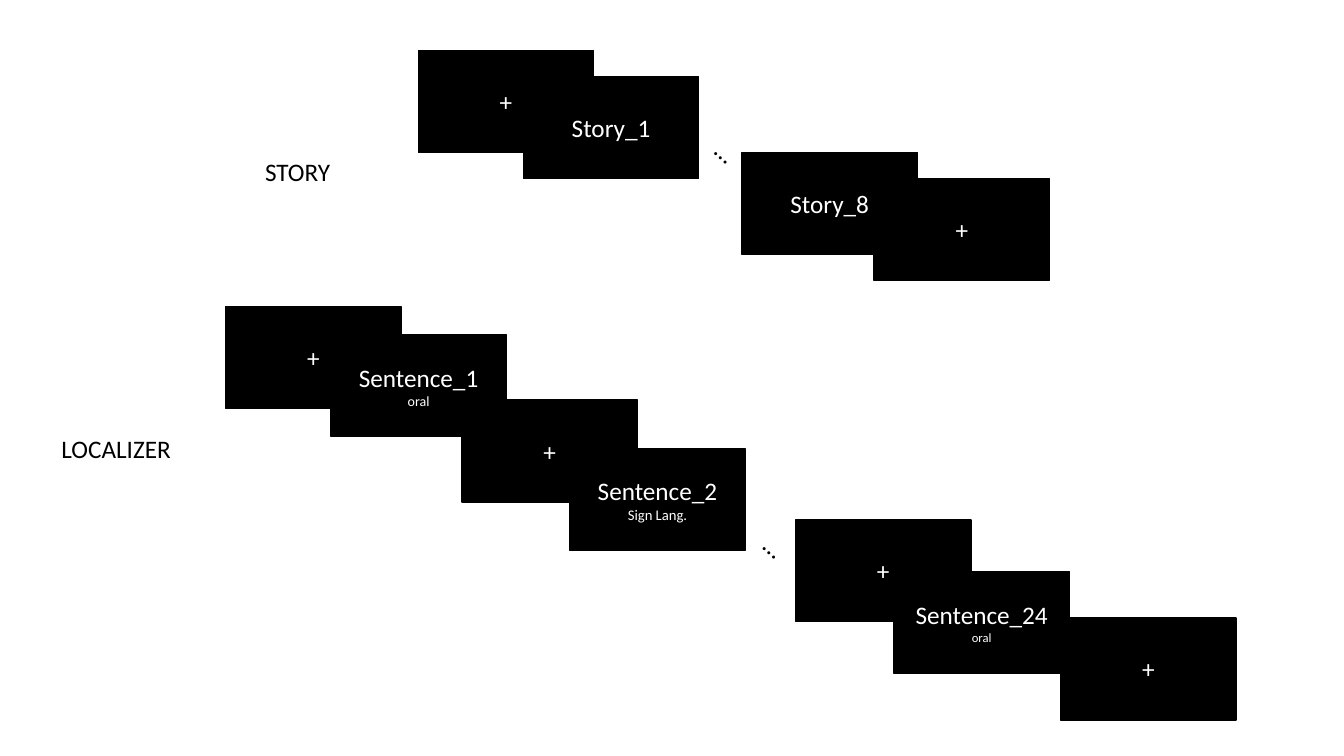
from pptx import Presentation
from pptx.dml.color import RGBColor
from pptx.enum.shapes import MSO_SHAPE as Shape
from pptx.enum.text import MSO_ANCHOR as Anchor, MSO_AUTO_SIZE as Fit, PP_ALIGN as Align
from pptx.util import Cm, Pt

BLACK, WHITE = "000000", "FFFFFF"
CARD = (4.42, 2.57)
STORY = [
    (4.11, 0, "+"),
    (6.76, 0.66, "Story_1"),
    (12.27, 2.57, "Story_8"),
    (15.6, 3.23, "+"),
]
LOCAL = [
    (4.39, 0, "+"),
    (7.04, 0.71, "Sentence_1", "oral", 10),
    (10.34, 2.36, "+"),
    (13.06, 3.58, "Sentence_2", "Sign Lang.", 10.5),
    (18.75, 5.38, "+"),
    (21.23, 6.68, "Sentence_24", "oral", 9),
    (25.43, 7.85, "+"),
]


def color(code):
    """Turn a hex string into a colour."""
    return RGBColor.from_string(code)


def write(para, text, size, code):
    """Fill a paragraph and set its font."""
    para.text = text
    font = para.font
    font.name, font.size = "Calibri", Pt(size)
    font.color.rgb = color(code)


def card(slide, left, top, title, note=None, size=None):
    """Draw one black screen with a title and an optional note."""
    box = slide.shapes.add_shape(
        Shape.RECTANGLE, Cm(left), Cm(top), Cm(CARD[0]), Cm(CARD[1]))
    box.shadow.inherit = False
    box.fill.solid()
    box.fill.fore_color.rgb = color(BLACK)
    box.line.color.rgb = color(BLACK)
    box.line.width = Pt(1)
    frame = box.text_frame
    frame.vertical_anchor = Anchor.MIDDLE
    write(frame.paragraphs[0], title, 18, WHITE)
    if note:
        write(frame.add_paragraph(), note, size, WHITE)
    for para in frame.paragraphs:
        para.alignment = Align.CENTER


def label(slide, left, top, width, text, turn=0):
    """Add one line of black text, turned if asked."""
    box = slide.shapes.add_textbox(Cm(left), Cm(top), Cm(width), Cm(1.02))
    box.rotation = turn
    frame = box.text_frame
    frame.word_wrap = False
    frame.auto_size = Fit.SHAPE_TO_FIT_TEXT
    write(frame.paragraphs[0], text, 18, BLACK)


def task(slide, left, top, name, width, drop, cards, dots):
    """Lay out a named run of screens from the given corner."""
    label(slide, left, top + drop, width, name)
    for x, y, *words in cards:
        card(slide, left + x, top + y, *words)
    label(slide, left + dots[0], top + dots[1], 0.97, "…", 42)


def main():
    """Build and save the slide."""
    deck = Presentation()
    deck.slide_width, deck.slide_height = Cm(33.87), Cm(19.05)
    slide = deck.slides.add_slide(deck.slide_layouts[6])
    task(slide, 6.43, 1.27, "STORY", 2.16, 2.54, STORY, (11.4, 2.06))
    task(slide, 1.3, 7.72, "LOCALIZER", 3.3, 3.07, LOCAL, (17.75, 5.56))
    deck.save("out.pptx")


if __name__ == "__main__":
    main()
